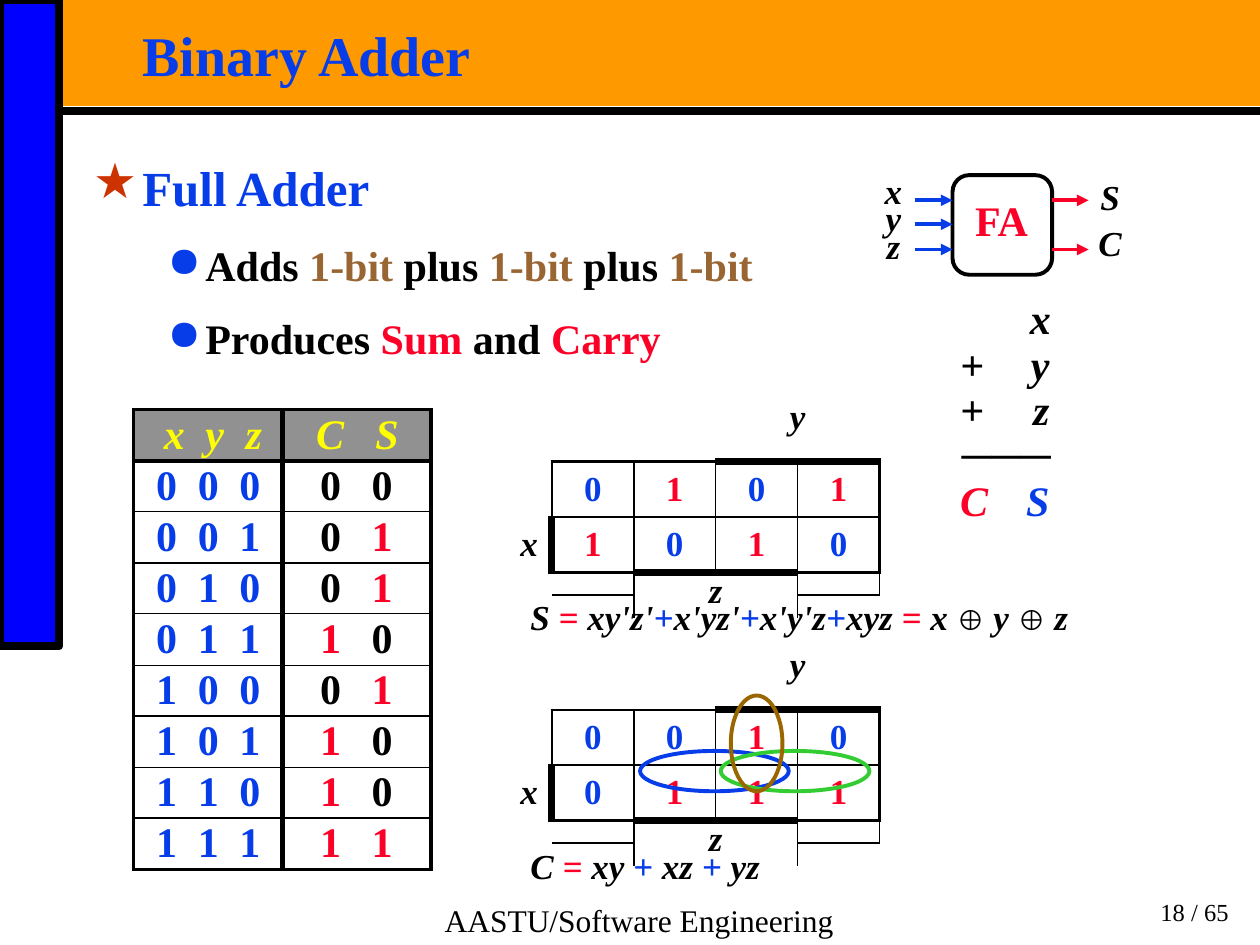
from lxml.etree import SubElement
from pptx import Presentation
from pptx.dml.color import RGBColor
from pptx.enum.shapes import MSO_CONNECTOR, MSO_SHAPE
from pptx.enum.text import MSO_ANCHOR, PP_ALIGN
from pptx.oxml import parse_xml
from pptx.oxml.ns import nsdecls, qn
from pptx.util import Inches, Pt

BLACK = RGBColor(0x00, 0x00, 0x00)
BLUE = RGBColor(0x06, 0x3D, 0xE8)
RED = RGBColor(0xFC, 0x01, 0x28)
BROWN = RGBColor(0x99, 0x66, 0x33)
YELLOW = RGBColor(0xFF, 0xFF, 0x00)
GRAY = RGBColor(0x91, 0x91, 0x91)
ORANGE = RGBColor(0xFF, 0x99, 0x00)
BAR_BLUE = RGBColor(0x00, 0x00, 0xFF)
STAR_RED = RGBColor(0xCC, 0x33, 0x00)
GREEN = RGBColor(0x33, 0xCC, 0x33)
OCHRE = RGBColor(0x99, 0x66, 0x00)
FONT = "Times New Roman"
PLAIN_TABLE = "{2D5ABB26-0587-4C30-8999-92F81FD0307C}"
LEFT, CENTER, RIGHT = PP_ALIGN.LEFT, PP_ALIGN.CENTER, PP_ALIGN.RIGHT

# Content: a paragraph is a list of (text, colour) spans
HEADING = [("Full Adder", BLUE)]
POINTS = [
    [("Adds ", BLACK), ("1-bit", BROWN), (" plus ", BLACK), ("1-bit ", BROWN),
     ("plus ", BLACK), ("1-bit", BROWN)],
    [("Produces ", BLACK), ("Sum", RED), (" and ", BLACK), ("Carry", RED)],
]
INPUTS = ["000", "001", "010", "011", "100", "101", "110", "111"]
OUTPUTS = ["00", "01", "01", "10", "01", "10", "10", "11"]
BLACK_ZEROS = 4  # outputs: zeros are black, ones red
MAPS = [(3.16, ["0101", "1010"]), (5.13, ["0010", "0111"])]
XOR = ("⊕", BLACK, {"size": 16, "italic": False})
SUM = [("S ", BLACK), ("= ", RED), ("xy'z'", BLACK), ("+", BLUE), ("x'yz'", BLACK),
       ("+", BLUE), ("x'y'z", BLACK), ("+", BLUE), ("xyz ", BLACK), ("= ", RED),
       ("x ", BLACK), XOR, (" y ", BLACK), XOR, (" z", BLACK)]
CARRY = [("C ", BLACK), ("= ", RED), ("xy ", BLACK), ("+ ", BLUE), ("xz ", BLACK),
         ("+ ", BLUE), ("yz", BLACK)]
LOOPS = [(5.08, 5.96, 1.18, 0.32, BLUE), (5.72, 5.96, 1.18, 0.32, GREEN),
         (5.8, 5.52, 0.41, 0.76, OCHRE)]
# Borders around the digits of a Karnaugh map, by (row, column)
MAP_EDGES = {(0, 2): {"b": 1.5}, (1, 3): {"b": 1.5}, (0, 4): {"b": 4.5},
             (2, 1): {"r": 1.5}, (3, 0): {"r": 4.5}, (4, 2): {"t": 1.5, "r": 1},
             (4, 3): {"l": 1, "t": 4.5, "r": 1}, (4, 5): {"l": 1, "t": 1.5}}
MAP_LABELS = {(0, 4): "y", (3, 0): "x", (4, 3): "z"}
MAP_MERGES = [(0, 0, 1, 1), (0, 2, 1, 2), (0, 4, 1, 5), (3, 0, 3, 1), (4, 0, 5, 1), (4, 3, 5, 4)]

deck = Presentation()
deck.slide_width, deck.slide_height = Inches(10), Inches(7.5)
page = deck.slides.add_slide(deck.slide_layouts[6])


def write(para, spans, size=24, bold=True, italic=False, align=LEFT, line=None,
          before=0, bullet=None, tabs=(), tab_align="l"):
    props = para._p.get_or_add_pPr()
    if bullet:
        mark, color, margin, hang = bullet
        props.set("marL", str(Inches(margin)))
        props.set("indent", str(-Inches(hang)))
        SubElement(SubElement(props, qn("a:buClr")), qn("a:srgbClr"), val=str(color))
        SubElement(props, qn("a:buChar"), char=mark)
    if tabs:
        stops = SubElement(props, qn("a:tabLst"))
        for stop in tabs:
            SubElement(stops, qn("a:tab"), pos=str(Inches(stop)), algn=tab_align)
    para.alignment = align
    if line:
        para.line_spacing = line
    if before:
        para.space_before = Pt(before)
    for text, color, *special in spans:
        look = {"size": size, "italic": italic, **(special[0] if special else {})}
        span = para.add_run()
        span.text = text
        span.font.name, span.font.size = FONT, Pt(look["size"])
        span.font.bold, span.font.italic = bold, look["italic"]
        span.font.color.rgb = color


def add_box(left, top, width, height, inset=(0, 0, 0, 0), anchor=MSO_ANCHOR.TOP, wrap=True):
    box = page.shapes.add_textbox(Inches(left), Inches(top), Inches(width), Inches(height))
    frame = box.text_frame
    frame.word_wrap, frame.vertical_anchor = wrap, anchor
    (frame.margin_left, frame.margin_top, frame.margin_right,
     frame.margin_bottom) = (Inches(side) for side in inset)
    return frame


def add_shape(kind, left, top, width, height, fill=None, line=None, weight=2.25):
    shape = page.shapes.add_shape(kind, Inches(left), Inches(top), Inches(width), Inches(height))
    shape.shadow.inherit = False
    for paint, color in ((shape.fill, fill), (shape.line.fill, line)):
        if color is None:
            paint.background()
        else:
            paint.solid()
            paint.fore_color.rgb = color
    if line is not None:
        shape.line.width = Pt(weight)


def add_line(x1, y1, x2, y2, color, weight=2.25, arrow=False):
    line = page.shapes.add_connector(MSO_CONNECTOR.STRAIGHT, Inches(x1), Inches(y1),
                                     Inches(x2), Inches(y2))
    line.line.color.rgb, line.line.width = color, Pt(weight)
    if arrow:
        SubElement(line.line._get_or_add_ln(), qn("a:tailEnd"), type="triangle")
    SubElement(line._element.spPr, qn("a:effectLst"))


def add_table(left, top, widths, heights):
    table = page.shapes.add_table(len(heights), len(widths), Inches(left), Inches(top),
                                  Inches(sum(widths)), Inches(sum(heights))).table
    table._tbl.tblPr.find(qn("a:tableStyleId")).text = PLAIN_TABLE
    table.first_row = table.horz_banding = False
    for parts, sizes, name in ((table.columns, widths, "width"), (table.rows, heights, "height")):
        for part, size in zip(parts, sizes):
            setattr(part, name, Inches(size))
    for cell in table.iter_cells():
        cell.margin_left = cell.margin_right = cell.margin_top = cell.margin_bottom = 0
        cell.vertical_anchor = MSO_ANCHOR.MIDDLE
        cell.fill.background()
    return table


def set_borders(cell, edges):
    sides = [side for side in "lrtb" if side in edges]
    for index, side in enumerate(sides):
        cell._tc.get_or_add_tcPr().insert(index, parse_xml(
            f'<a:ln{side.upper()} {nsdecls("a")} w="{Pt(edges[side])}"><a:solidFill>'
            f'<a:srgbClr val="{BLACK}"/></a:solidFill></a:ln{side.upper()}>'))


# Frame of the page
add_shape(MSO_SHAPE.RECTANGLE, 0.47, 0, 9.53, 0.84, ORANGE)
add_shape(MSO_SHAPE.RECTANGLE, 0, 0, 0.47, 5.13, BAR_BLUE, BLACK, 4.5)
add_line(0.47, 0.88, 10, 0.88, BLACK, 4.5)
pad = (0.1, 0.05, 0.1, 0.05)
write(add_box(8.54, 7.08, 1.31, 0.32, pad, MSO_ANCHOR.BOTTOM).paragraphs[0],
      [("18 / 65", BLACK)], size=14, bold=False, align=RIGHT)
write(add_box(3.43, 7.1, 3.62, 0.32, pad).paragraphs[0],
      [("AASTU/Software Engineering", BLACK)], size=18, bold=False)

# Title and points
pad = (0.07, 0.03, 0.07, 0.03)
write(add_box(1.06, 0.21, 8.66, 0.52, pad).paragraphs[0],
      [("Binary Adder", BLUE)], size=32, line=0.87)
body = add_box(0.67, 1.22, 6, 1.72, pad)
write(body.paragraphs[0], HEADING, size=28, bullet=("★", STAR_RED, 0.39, 0.39))
for point in POINTS:
    write(body.add_paragraph(), point, before=13, bullet=("●", BLUE, 0.89, 0.3))

# Truth table: (cell inset, tab stops) for header and digits of each column
truth = add_table(1.06, 3.25, [1.18, 1.18], [0.41, 0.4] * 4 + [0.41])
HEAD_GAPS = [(0.24, [0.33, 0.65]), (0.27, [0.47])]
DIGIT_GAPS = [(0.18, [0.33, 0.66]), (0.3, [0.41])]
last = len(INPUTS)
for row, values in enumerate([("xyz", "CS"), *zip(INPUTS, OUTPUTS)]):
    for column, value in enumerate(values):
        cell = truth.cell(row, column)
        inset, tabs = (DIGIT_GAPS if row else HEAD_GAPS)[column]
        cell.margin_left = Inches(inset)
        spans = []
        for place, sign in enumerate(value):
            color = YELLOW if row == 0 else BLUE if column == 0 else RED if sign == "1" else BLACK
            spans.append(("\t" + sign if place else sign, color))
        write(cell.text_frame.paragraphs[0], spans, italic=row == 0, tabs=tabs)
        if row == 0:
            cell.fill.solid()
            cell.fill.fore_color.rgb = GRAY
        set_borders(cell, {"l": 3 if column else 2.25, "r": 2.25 if column else 3,
                           "t": {0: 2.25, 1: 3}.get(row, 1), "b": {0: 3, last: 2.25}.get(row, 1)})

# Column addition
addition = add_box(7.36, 2.37, 0.98, 1.8, (0.26, 0, 0, 0))
write(addition.paragraphs[0], [("x", BLACK)], italic=True, align=RIGHT, line=0.9)
for first, second, colors in [("+", "y", (BLACK, BLACK)), ("+", "z", (BLACK, BLACK)),
                              ("───", "", (BLACK, BLACK)), ("C", "S", (RED, BLUE))]:
    spans = [(first, colors[0])] + ([("\t" + second, colors[1])] if second else [])
    write(addition.add_paragraph(), spans, italic=True, align=LEFT if second else RIGHT,
          line=0.9, tabs=[0.71] if second else (), tab_align="r")

# Full adder block
add_shape(MSO_SHAPE.ROUNDED_RECTANGLE, 7.56, 1.39, 0.79, 0.79, line=BLACK)
for y in (1.59, 1.78, 1.98):
    add_line(7.26, y, 7.56, y, BLUE, arrow=True)
for y in (1.59, 1.98):
    add_line(8.35, y, 8.64, y, RED, arrow=True)
write(add_box(7.73, 1.59, 0.44, 0.36, wrap=False).paragraphs[0], [("FA", RED)],
      align=CENTER, line=0.9)
for left, top, names, line, gap in [(6.99, 1.45, "xyz", 0.65, 0), (8.71, 1.43, "SC", 0.9, 5)]:
    frame = add_box(left, top, 0.2, 0.66)
    for index, name in enumerate(names):
        write(frame.add_paragraph() if index else frame.paragraphs[0], [(name, BLACK)],
              size=20, italic=True, align=CENTER, line=line, before=gap if index else 0)

# Karnaugh maps
for top, digits in MAPS:
    grid = add_table(4.02, top, [0.18] * 2 + [0.65] * 4, [0.17] * 2 + [0.44] * 2 + [0.18] * 2)
    labels, edges = dict(MAP_LABELS), dict(MAP_EDGES)
    for row, line in enumerate(digits, 2):
        for column, digit in enumerate(line, 2):
            labels[row, column] = digit
            upper = row == 2
            edges[row, column] = {
                "l": 1 if column > 2 else 1.5 if upper else 4.5,
                "t": 1 if not upper else 1.5 if column < 4 else 4.5,
                "r": 1.5 if column == 5 else 1,
                "b": 1 if upper else 4.5 if column in (3, 4) else 1.5}
    for row1, column1, row2, column2 in MAP_MERGES:
        if (row1, column1) == (0, 2):
            column2 = 2
        grid.cell(row1, column1).merge(grid.cell(row2, column2))
    for row in range(6):
        for column in range(6):
            cell, label = grid.cell(row, column), labels.get((row, column))
            para = cell.text_frame.paragraphs[0]
            if label:
                color = {"0": BLUE, "1": RED}.get(label, BLACK)
                write(para, [(label, color)], size=20, italic=label in "xyz", align=CENTER)
                if label in "yz":
                    cell.vertical_anchor = MSO_ANCHOR.TOP
            else:
                SubElement(para._p, qn("a:endParaRPr"), sz="800")
            set_borders(cell, edges.get((row, column), {}))

# Loops and equations
for left, top, width, height, color in LOOPS:
    add_shape(MSO_SHAPE.OVAL, left, top, width, height, line=color)
for top, width, equation in [(4.73, 4.33, SUM), (6.7, 1.97, CARRY)]:
    write(add_box(4.21, top, width, 0.33).paragraphs[0], equation, size=20, italic=True)

deck.save("out.pptx")
